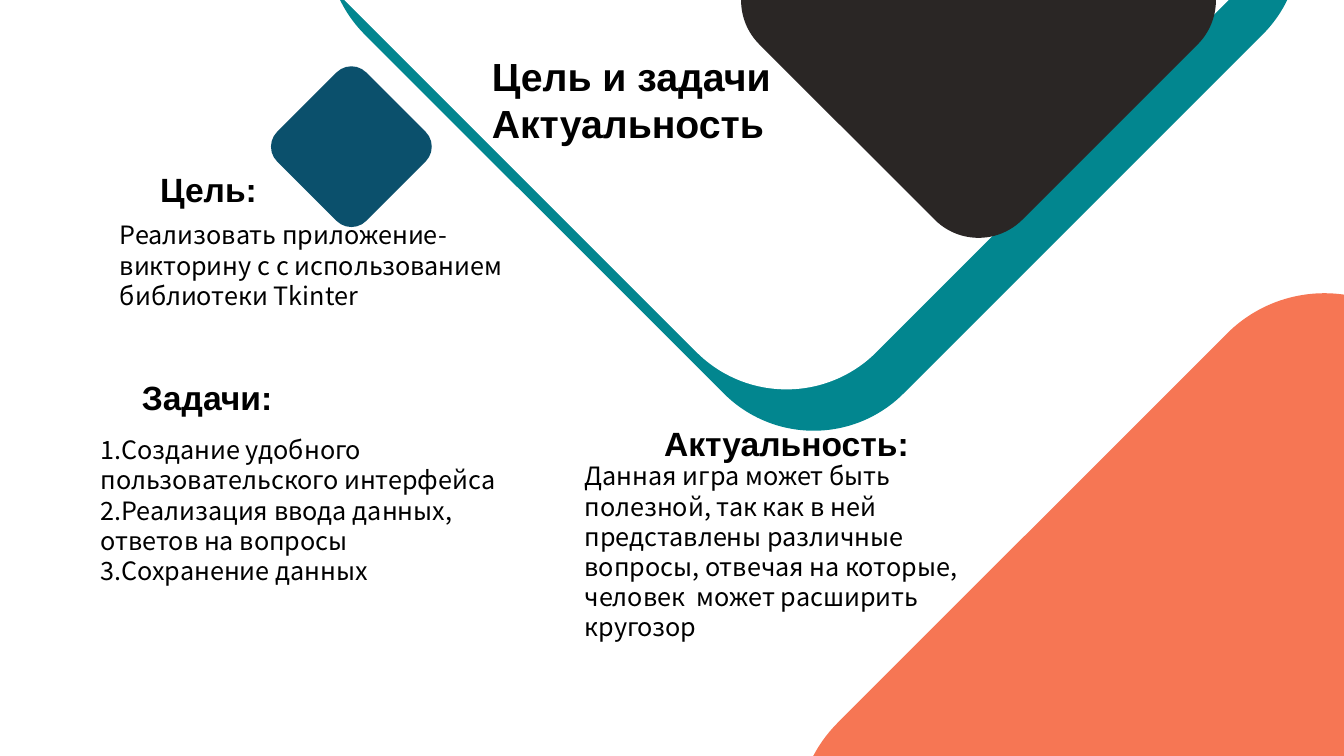
from pptx import Presentation
from pptx.dml.color import RGBColor
from pptx.enum.shapes import MSO_SHAPE
from pptx.enum.text import PP_ALIGN
from pptx.util import Pt

PX = 9144  # 100 px to the inch

TEAL = RGBColor(0x02, 0x86, 0x8F)
CORAL = RGBColor(0xF6, 0x76, 0x54)
WHITE = RGBColor(0xFF, 0xFF, 0xFF)
NAVY = RGBColor(0x0B, 0x50, 0x6C)
DARK = RGBColor(0x2A, 0x26, 0x25)
BLACK = RGBColor(0x00, 0x00, 0x00)

HEAD = "Arial"
BODY = "Noto Sans CJK SC"
LEAD = 1.2  # line pitch relative to the font size


def add_gem(slide, left, top, side, color):
    """Rounded square turned onto its corner."""
    gem = slide.shapes.add_shape(
        MSO_SHAPE.ROUNDED_RECTANGLE, left * PX, top * PX, side * PX, side * PX)
    gem.rotation = 45
    gem.shadow.inherit = False
    gem.fill.solid()
    gem.fill.fore_color.rgb = color
    gem.line.fill.background()


def add_text(slide, box, lines, size, font, bold=False, align=PP_ALIGN.LEFT):
    frame = slide.shapes.add_textbox(*(n * PX for n in box)).text_frame
    frame.word_wrap = True
    frame.text = "\n".join(lines)
    for para in frame.paragraphs:
        para.alignment = align
        para.line_spacing = Pt(size * LEAD)
        para.font.size = Pt(size)
        para.font.name = font
        para.font.bold = bold
        para.font.color.rgb = BLACK


def add_head(slide, box, lines, size=24, align=PP_ALIGN.LEFT):
    add_text(slide, box, lines, size, HEAD, True, align)


def add_body(slide, box, lines):
    add_text(slide, box, lines, 18, BODY)


def main():
    deck = Presentation()
    deck.slide_width = 1333 * PX
    deck.slide_height = 750 * PX
    slide = deck.slides.add_slide(deck.slide_layouts[6])

    # Backdrop, from back to front
    add_gem(slide, 429, -433, 756, TEAL)
    add_gem(slide, 904, 404, 819, CORAL)
    add_gem(slide, 402, -474, 756, WHITE)
    add_gem(slide, 286, 83, 125, NAVY)
    add_gem(slide, 786, -184, 369, DARK)

    # Title
    add_head(slide, (478, 47, 444, 104), ["Цель и задачи", "Актуальность"], 28)

    # Goal
    add_head(slide, (149, 163, 444, 50), ["Цель:"])
    add_body(slide, (109, 213, 444, 101), [
        "Реализовать приложение-викторину с с использованием библиотеки Tkinter"])

    # Tasks
    add_head(slide, (131, 369, 444, 50), ["Задачи:"])
    add_body(slide, (90, 426, 444, 161), [
        "1.Создание удобного пользовательского интерфейса",
        "2.Реализация ввода данных, ответов на вопросы",
        "3.Сохранение данных"])

    # Relevance
    add_head(slide, (558, 415, 444, 50), ["Актуальность:"], align=PP_ALIGN.CENTER)
    add_body(slide, (570, 452, 397, 192), [
        "Данная игра может быть полезной, так как в ней представлены различные "
        "вопросы, отвечая на которые, человек  может расширить кругозор"])

    deck.save("out.pptx")


if __name__ == "__main__":
    main()
